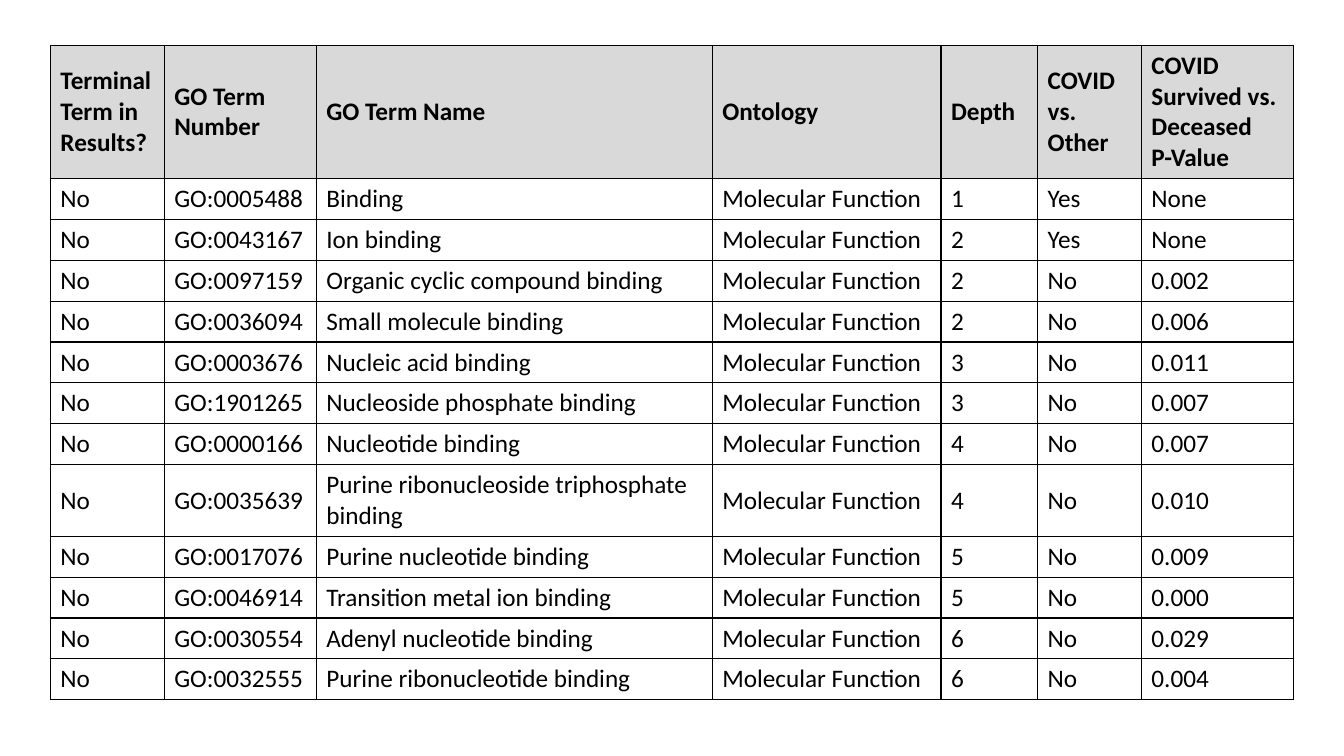
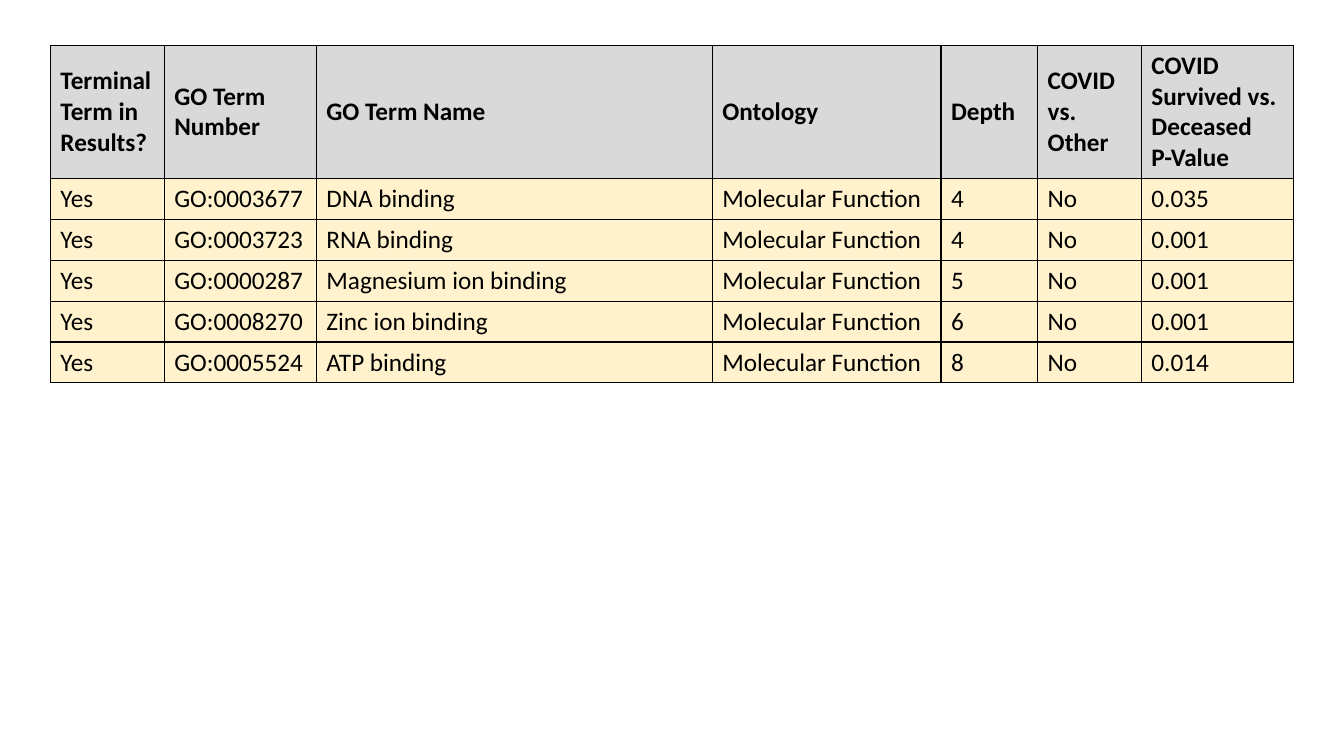
from lxml import etree
from pptx import Presentation
from pptx.dml.color import RGBColor
from pptx.enum.text import MSO_ANCHOR
from pptx.oxml.ns import qn
from pptx.util import Inches, Pt

MIDDLE = MSO_ANCHOR.MIDDLE

# Content
HEADINGS = (
    "Terminal Term in Results?", "GO Term Number", "GO Term Name", "Ontology",
    "Depth", "COVID vs. Other", "COVID Survived vs. Deceased\nP-Value",
)
ONTOLOGY = "Molecular Function"

# Term number, term name, depth, COVID vs. other, p-value
INNER_TERMS = (
    ("GO:0005488", "Binding", 1, "Yes", "None"),
    ("GO:0043167", "Ion binding", 2, "Yes", "None"),
    ("GO:0097159", "Organic cyclic compound binding", 2, "No", "0.002"),
    ("GO:0036094", "Small molecule binding", 2, "No", "0.006"),
    ("GO:0003676", "Nucleic acid binding", 3, "No", "0.011"),
    ("GO:1901265", "Nucleoside phosphate binding", 3, "No", "0.007"),
    ("GO:0000166", "Nucleotide binding", 4, "No", "0.007"),
    ("GO:0035639", "Purine ribonucleoside triphosphate binding", 4, "No", "0.010"),
    ("GO:0017076", "Purine nucleotide binding", 5, "No", "0.009"),
    ("GO:0046914", "Transition metal ion binding", 5, "No", "0.000"),
    ("GO:0030554", "Adenyl nucleotide binding", 6, "No", "0.029"),
    ("GO:0032555", "Purine ribonucleotide binding", 6, "No", "0.004"),
)
TERMINAL_TERMS = (
    ("GO:0003677", "DNA binding", 4, "No", "0.035"),
    ("GO:0003723", "RNA binding", 4, "No", "0.001"),
    ("GO:0000287", "Magnesium ion binding", 5, "No", "0.001"),
    ("GO:0008270", "Zinc ion binding", 6, "No", "0.001"),
    ("GO:0005524", "ATP binding", 8, "No", "0.014"),
)


def colour(hex_code):
    return RGBColor.from_string(hex_code)


class TermDeck:
    """Shared style and the current slide."""

    FONT, SIZE = "Calibri", Pt(18)
    INK, HEADER, PLAIN, HIGHLIGHT = "000000", "D9D9D9", "FFFFFF", "FFF2CC"
    BORDER = Pt(1)
    # Table place as shares of the slide, column widths as weights
    LEFT, TOP, WIDTH = 0.0375, 0.06, 0.925
    COLUMNS = (113, 151, 393, 227, 96, 103, 151)
    # Row heights follow from the number of text lines
    LINE, PADDING = Inches(0.3), Inches(0.1)
    HEADER_LINES, NAME_LIMIT = 4, 36

    def __init__(self):
        self.deck = Presentation()
        self.deck.slide_width = Inches(13.33)
        self.deck.slide_height = Inches(7.5)
        self.slide = None

    def add_slide(self):
        self.slide = self.deck.slides.add_slide(self.deck.slide_layouts[6])

    def row_height(self, lines):
        return self.PADDING + lines * self.LINE

    def add_borders(self, cell):
        properties = cell._tc.get_or_add_tcPr()
        for side in ("a:lnL", "a:lnR", "a:lnT", "a:lnB"):
            border = etree.SubElement(properties, qn(side), w=str(self.BORDER))
            fill = etree.SubElement(border, qn("a:solidFill"))
            etree.SubElement(fill, qn("a:srgbClr"), val=self.INK)

    def fill_cell(self, cell, text, background, bold):
        self.add_borders(cell)
        cell.fill.solid()
        cell.fill.fore_color.rgb = colour(background)
        cell.vertical_anchor = MIDDLE
        cell.text_frame.text = str(text)
        for paragraph in cell.text_frame.paragraphs:
            for run in paragraph.runs:
                run.font.name = self.FONT
                run.font.size = self.SIZE
                run.font.bold = bold
                run.font.color.rgb = colour(self.INK)

    def add_term_table(self, terms, terminal, background):
        # Heading row first, then one row per term
        rows = [(HEADINGS, self.HEADER, True, self.HEADER_LINES)]
        for number, name, depth, other, p_value in terms:
            values = (terminal, number, name, ONTOLOGY, depth, other, p_value)
            lines = 2 if len(name) > self.NAME_LIMIT else 1
            rows.append((values, background, False, lines))

        width = int(self.WIDTH * self.deck.slide_width)
        table = self.slide.shapes.add_table(
            len(rows), len(self.COLUMNS),
            int(self.LEFT * self.deck.slide_width),
            int(self.TOP * self.deck.slide_height),
            width, sum(self.row_height(lines) for *_, lines in rows),
        ).table
        table.horz_banding = False

        for column, weight in zip(table.columns, self.COLUMNS):
            column.width = width * weight // sum(self.COLUMNS)
        for row, (values, fill, bold, lines) in zip(table.rows, rows):
            row.height = self.row_height(lines)
            for cell, value in zip(row.cells, values):
                self.fill_cell(cell, value, fill, bold)


def main():
    terms = TermDeck()

    # Slide 1: terms with descendants in the results
    terms.add_slide()
    terms.add_term_table(INNER_TERMS, "No", terms.PLAIN)

    # Slide 2: terminal terms
    terms.add_slide()
    terms.add_term_table(TERMINAL_TERMS, "Yes", terms.HIGHLIGHT)

    terms.deck.save("out.pptx")


if __name__ == "__main__":
    main()
